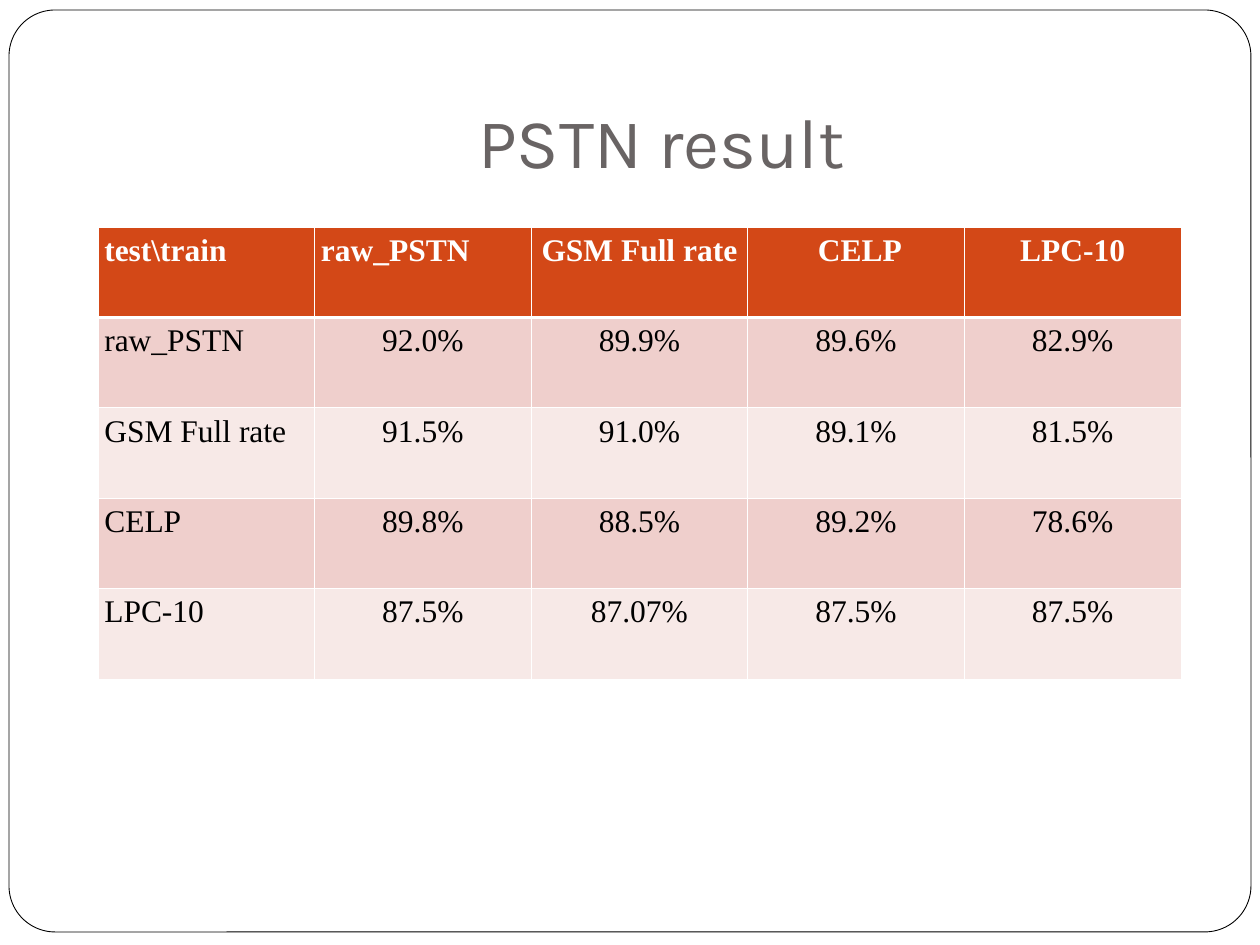
from pptx import Presentation
from pptx import util as u
from pptx.dml.color import RGBColor
from pptx.enum import shapes, text
from pptx.oxml import parse_xml
from pptx.oxml.ns import nsdecls

# Content
TITLE = "PSTN result"
ROWS = [
    ["test\\train", "raw_PSTN", "GSM Full rate", " CELP", "LPC-10"],
    ["raw_PSTN", "92.0%", "89.9%", "89.6%", "82.9%"],
    ["GSM Full rate", "91.5%", "91.0%", "89.1%", "81.5%"],
    ["CELP", "89.8%", "88.5%", "89.2%", "78.6%"],
    ["LPC-10", "87.5%", "87.07%", "87.5%", "87.5%"],
]

# Places in px: left, top, width, height
SLIDE = (1260, 945)
FRAME = (9, 10, 1242, 922)
TITLE_BOX = (126, 38, 1071, 157)
TABLE = (98, 227, 1083, 452)

# Formats
WHITE, HEADER, BANDS = "FFFFFF", "D34817", ("F7E9E7", "EFCFCC")
TITLE_FONT = {"name": "Karla", "size": u.Pt(40)}
CELL_FONT = {"name": "Times New Roman", "size": u.Pt(18)}
THIN, THICK = 0.45, 1.47


def px(n):
    return u.Emu(round(n * 914400 / 126))


def place(box):
    return [px(n) for n in box]


def color(value):
    return RGBColor.from_string(value)


def set_attrs(obj, values):
    for name, value in values.items():
        setattr(obj, name, value)


def write(tf, words, align, font, font_color):
    p = tf.paragraphs[0]
    p.alignment = align
    r = p.add_run()
    r.text = words
    set_attrs(r.font, font)
    r.font.color.rgb = color(font_color)


def add_borders(cell, widths):
    tc_pr = cell._tc.get_or_add_tcPr()
    for i, (side, width) in enumerate(widths.items()):
        tc_pr.insert(i, parse_xml(
            f'<a:{side} {nsdecls("a")} w="{u.Pt(width)}"><a:solidFill>'
            f'<a:srgbClr val="{WHITE}"/></a:solidFill></a:{side}>'))


def add_frame(s):
    sp = s.shapes.add_shape(shapes.MSO_SHAPE.ROUNDED_RECTANGLE, *place(FRAME))
    sp.adjustments[0] = 0.05
    sp.shadow.inherit = False
    sp.fill.solid()
    sp.fill.fore_color.rgb = color(WHITE)
    sp.line.color.rgb = color("000000")
    sp.line.width = u.Pt(0.5)


def add_title(s):
    tf = s.shapes.add_textbox(*place(TITLE_BOX)).text_frame
    set_attrs(tf, {"word_wrap": True, "margin_bottom": u.Inches(0.1),
                   "vertical_anchor": text.MSO_ANCHOR.BOTTOM})
    write(tf, TITLE, text.PP_ALIGN.CENTER, TITLE_FONT, "696464")


def add_results(s):
    table = s.shapes.add_table(len(ROWS), len(ROWS[0]), *place(TABLE)).table
    margins = {f"margin_{side}": u.Inches(0.05)
               for side in ("left", "top", "right", "bottom")}
    for i, row in enumerate(ROWS):
        header = i == 0
        for j, words in enumerate(row):
            cell = table.cell(i, j)
            set_attrs(cell, margins)
            cell.fill.solid()
            cell.fill.fore_color.rgb = color(HEADER if header else BANDS[i % 2])
            add_borders(cell, {"lnL": THIN, "lnR": THIN,
                               "lnT": THICK if i == 1 else THIN,
                               "lnB": THICK if header else THIN})
            left = j == 0 or (header and j == 1)
            align = text.PP_ALIGN.LEFT if left else text.PP_ALIGN.CENTER
            write(cell.text_frame, words, align, {**CELL_FONT, "bold": header},
                  WHITE if header else "000000")


def main():
    prs = Presentation()
    prs.slide_width, prs.slide_height = place(SLIDE)
    s = prs.slides.add_slide(prs.slide_layouts[6])
    add_frame(s)
    add_title(s)
    add_results(s)
    prs.save("out.pptx")


if __name__ == "__main__":
    main()
